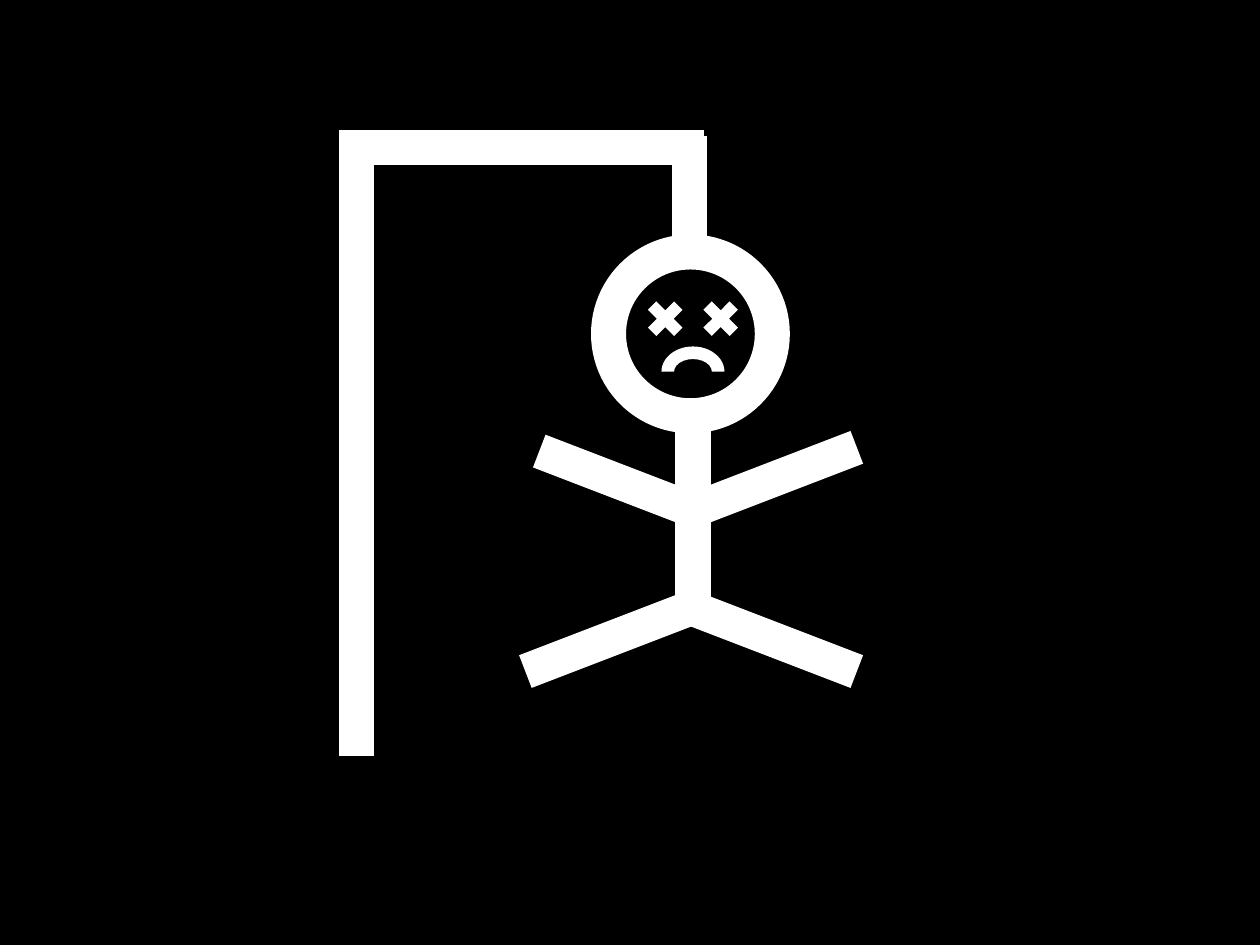
import pptx
import pptx.dml.color
import pptx.enum.shapes
import pptx.util
from lxml import etree

Inches = pptx.util.Inches
Shapes = pptx.enum.shapes.MSO_SHAPE

BLACK, WHITE = "000000", "FFFFFF"
STROKE = 20

# Start x, start y, end x, end y
GALLOWS = [
    (2.69, 1.17, 5.59, 1.17),  # beam
    (2.83, 1.2, 2.83, 6),      # post
    (5.47, 1.08, 5.47, 2.08),  # rope
]
BODY = [
    (5.5, 3.25, 5.5, 4.95),    # torso
    (6.8, 3.55, 5.5, 4.05),    # right arm
    (4.28, 3.58, 5.58, 4.08),  # left arm
    (6.8, 5.33, 5.5, 4.83),    # right leg
    (5.47, 4.83, 4.17, 5.33),  # left leg
]
# Left, top, width, height
HEAD = (4.83, 2, 1.3, 1.3)
FACE = [
    (Shapes.MATH_MULTIPLY, (5.52, 2.33, 0.4, 0.4)),
    (Shapes.MATH_MULTIPLY, (5.08, 2.33, 0.4, 0.4)),
    (Shapes.BLOCK_ARC, (5.25, 2.75, 0.5, 0.4)),
]


def color(hex_value):
    return pptx.dml.color.RGBColor.from_string(hex_value)


def style_line(line):
    line.color.rgb = color(WHITE)
    line.width = pptx.util.Pt(STROKE)


def add_stroke(slide, points):
    connector = slide.shapes.add_connector(
        pptx.enum.shapes.MSO_CONNECTOR.STRAIGHT, *map(Inches, points))
    style_line(connector.line)
    etree.SubElement(connector._element.spPr, pptx.oxml.ns.qn("a:effectLst"))


def add_figure(slide, kind, box):
    shape = slide.shapes.add_shape(kind, *map(Inches, box))
    shape.shadow.inherit = False
    return shape


def main():
    presentation = pptx.Presentation()
    presentation.slide_width = Inches(10)
    presentation.slide_height = Inches(7.5)
    slide = presentation.slides.add_slide(presentation.slide_layouts[6])
    slide.background.fill.solid()
    slide.background.fill.fore_color.rgb = color(BLACK)

    for points in GALLOWS:
        add_stroke(slide, points)

    head = add_figure(slide, Shapes.OVAL, HEAD)
    head.fill.background()
    style_line(head.line)

    for points in BODY:
        add_stroke(slide, points)

    for kind, box in FACE:
        feature = add_figure(slide, kind, box)
        feature.fill.solid()
        feature.fill.fore_color.rgb = color(WHITE)
        feature.line.fill.background()

    presentation.save("out.pptx")


if __name__ == "__main__":
    main()
